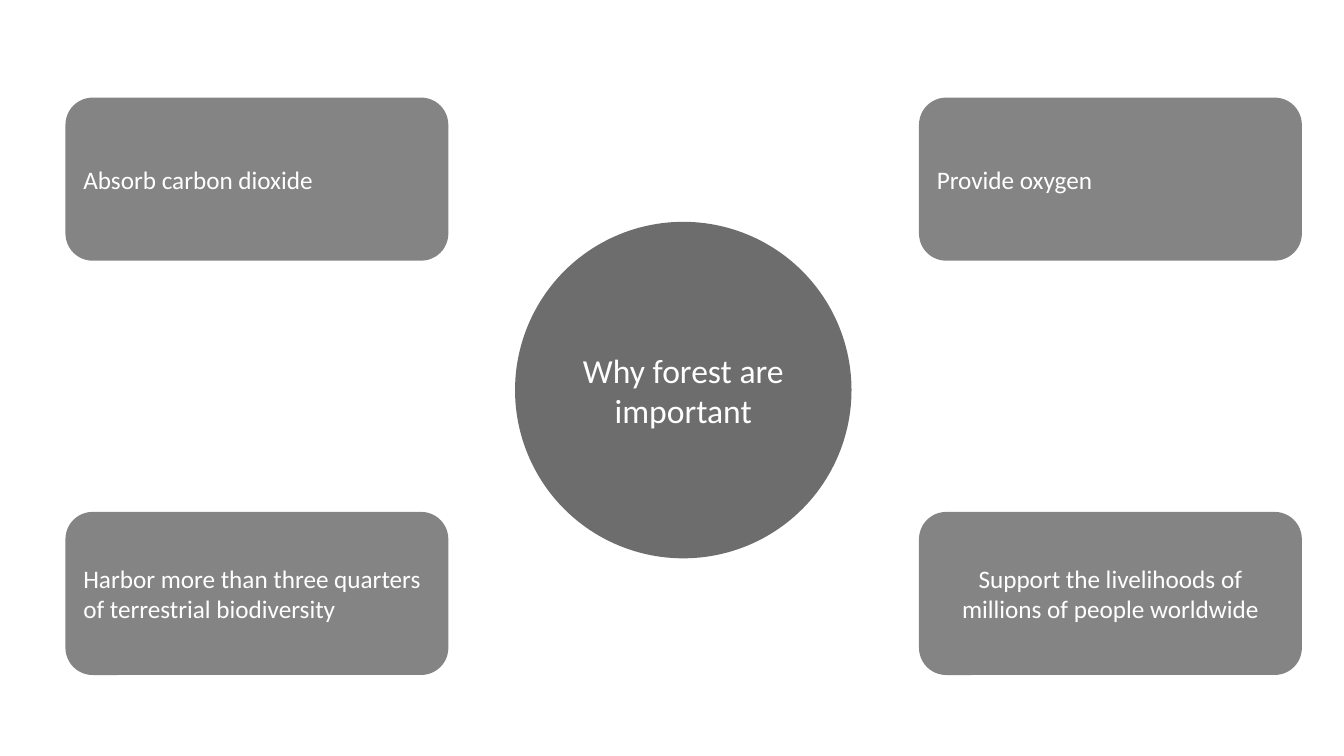
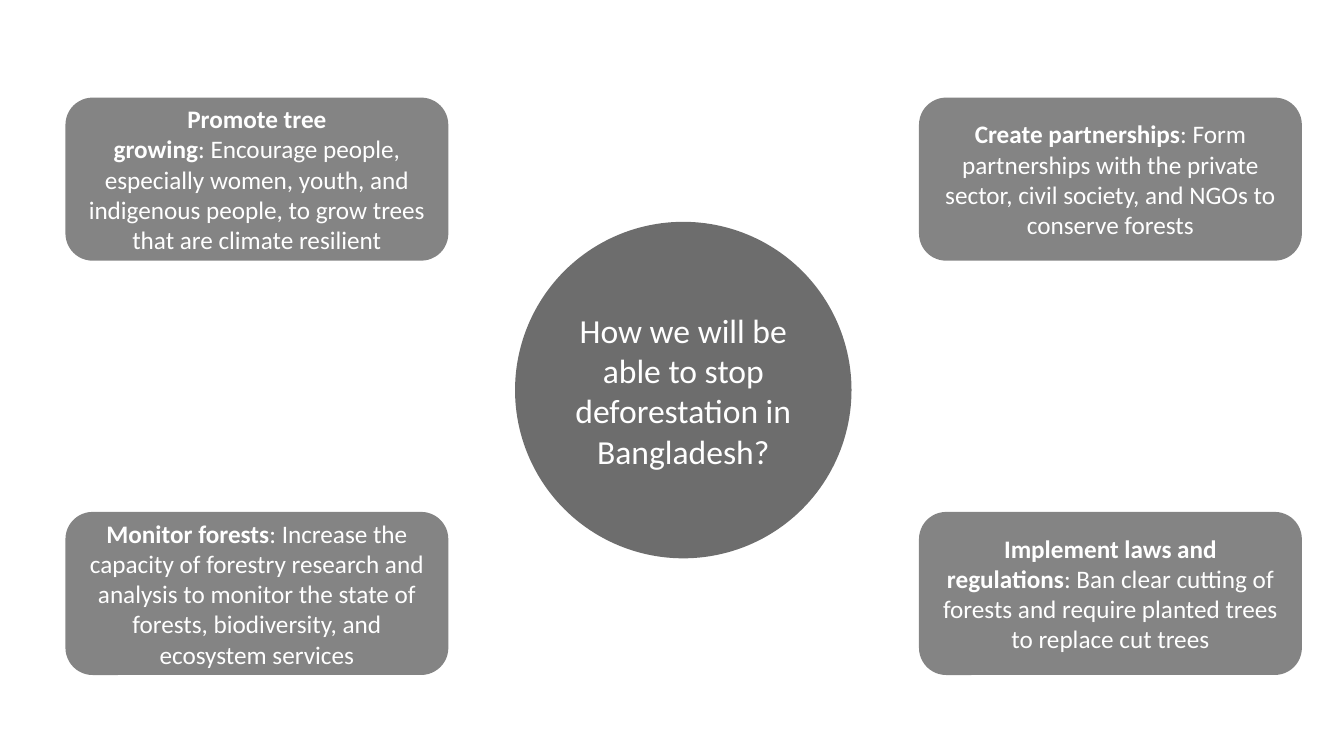
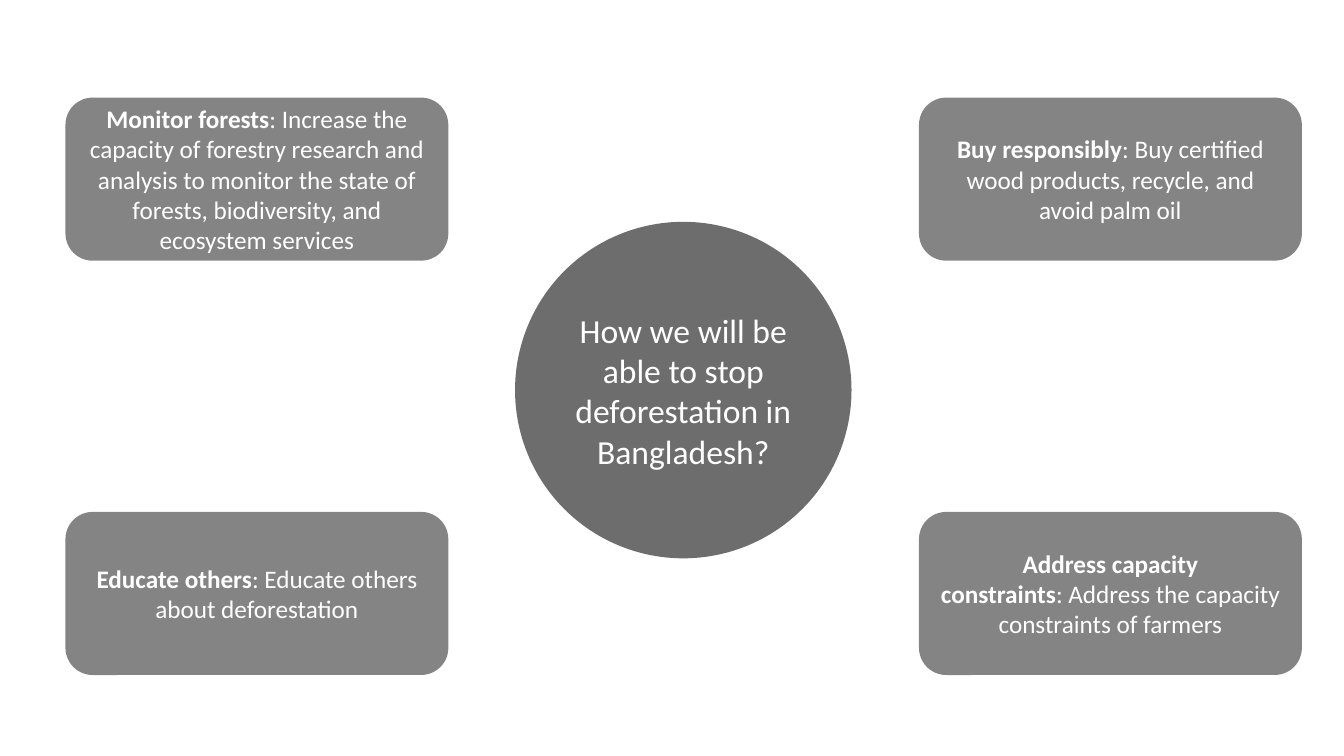
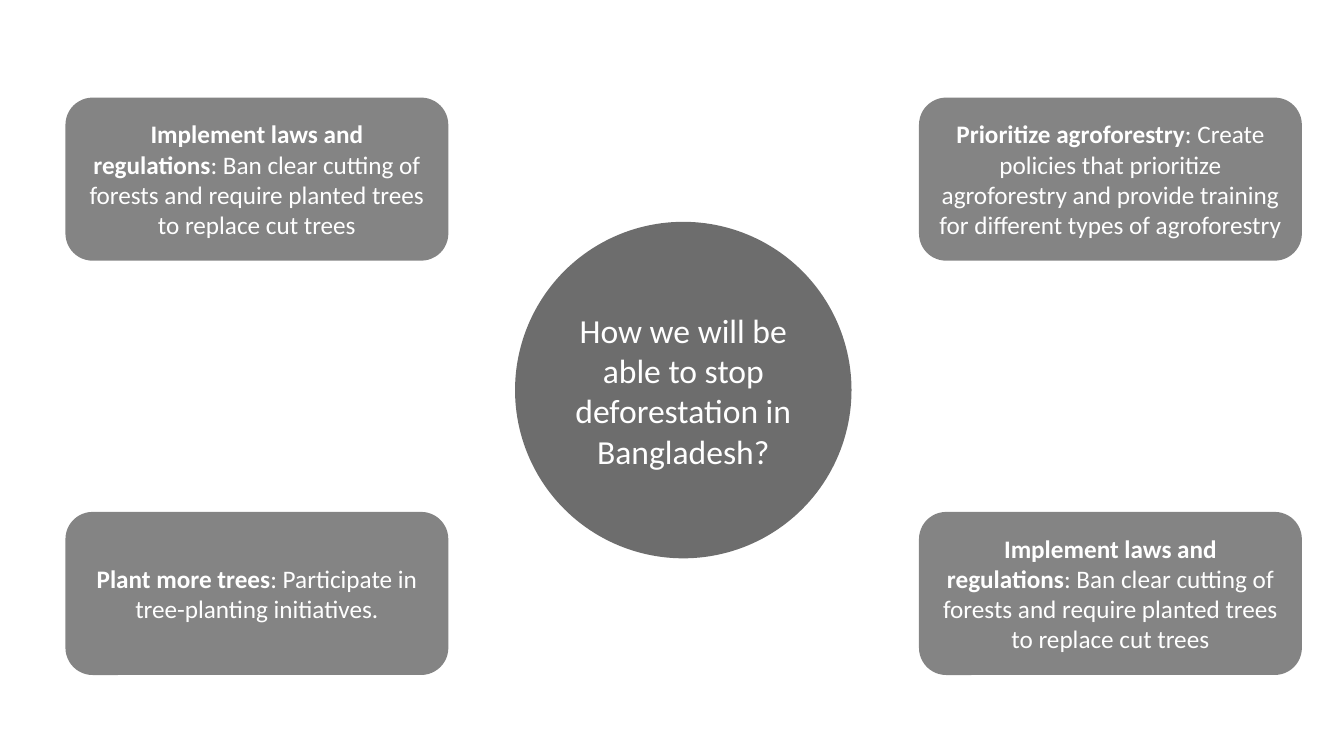
"""Four hub-and-corner slides on why forests matter and how to protect them."""
import math

from lxml import etree
from pptx import Presentation
from pptx import util as u
from pptx.dml.color import RGBColor
from pptx.enum import shapes, text
from pptx.oxml import ns

COLORS = {"fill": "404040", "text": "FFFFFF"}
FONT = "Calibri"
HUB_LEFT, HUB_TOP, HUB_SIZE = 12.98, 5.59, 8.48
CARD_WIDTH, CARD_HEIGHT = 9.65, 4.11
CARD_LEFTS, CARD_TOPS = (1.65, 23.16), (2.46, 12.9)
CORNERS = [(left, top) for top in CARD_TOPS for left in CARD_LEFTS]
NO_BREAK_SPACE = chr(160)

LEFT, CENTER = text.PP_ALIGN.LEFT, text.PP_ALIGN.CENTER
STOP = "How we will be able to stop deforestation in Bangladesh?"
LAWS = (
    "Implement laws and regulations",
    "Ban clear cutting of forests and require planted trees to replace cut trees",
)
MONITOR = (
    "Monitor forests",
    "Increase the capacity of forestry research and analysis to monitor "
    "the state of forests, biodiversity, and ecosystem services",
)
REASONS = [
    ("Absorb carbon dioxide", LEFT),
    ("Provide oxygen", LEFT),
    ("Harbor more than three quarters of terrestrial biodiversity", LEFT),
    ("Support the livelihoods of millions of people worldwide", CENTER),
]
ACTIONS = [
    [
        ("Promote tree growing",
         "Encourage people, especially women, youth, and indigenous people, "
         "to grow trees that are climate resilient"),
        ("Create partnerships",
         "Form partnerships with the private sector, civil society, and NGOs "
         "to conserve forests"),
        MONITOR,
        LAWS,
    ],
    [
        MONITOR,
        ("Buy responsibly", "Buy certified wood products, recycle, and avoid palm oil"),
        ("Educate others", "Educate others about deforestation"),
        ("Address capacity constraints", "Address the capacity constraints of farmers"),
    ],
    [
        LAWS,
        ("Prioritize agroforestry",
         "Create policies that prioritize agroforestry and provide training "
         "for different types of agroforestry"),
        ("Plant more trees", "Participate in tree-planting initiatives."),
        LAWS,
    ],
]


def add_panel(page, kind, left, top, width, height, opacity):
    """Add a translucent shape without an outline."""
    box = page.shapes.add_shape(kind, u.Cm(left), u.Cm(top), u.Cm(width), u.Cm(height))
    box.shadow.inherit = False
    box.line.fill.background()
    box.fill.solid()
    box.fill.fore_color.rgb = RGBColor.from_string(COLORS["fill"])
    color = box.element.spPr.find(".//" + ns.qn("a:srgbClr"))
    etree.SubElement(color, ns.qn("a:alpha"), val=str(opacity * 1000))
    return box


def write(box, size, align, spans):
    """Write one paragraph of (wording, bold) spans, centred vertically."""
    frame = box.text_frame
    frame.word_wrap = True
    frame.auto_size = text.MSO_AUTO_SIZE.NONE
    frame.vertical_anchor = text.MSO_ANCHOR.MIDDLE
    para = frame.paragraphs[0]
    para.alignment = align
    for wording, bold in spans:
        span = para.add_run()
        span.text = wording
        span.font.name = FONT
        span.font.size = u.Pt(size)
        span.font.bold = bold
        span.font.color.rgb = RGBColor.from_string(COLORS["text"])


def add_hub(page, wording):
    """Add the circle and fit the slide title into its inner square."""
    circle = add_panel(page, shapes.MSO_SHAPE.FLOWCHART_CONNECTOR,
                       HUB_LEFT, HUB_TOP, HUB_SIZE, HUB_SIZE, 76)
    title = page.shapes.title
    side = HUB_SIZE / math.sqrt(2)
    margin = (HUB_SIZE - side) / 2
    title.left, title.top = u.Cm(HUB_LEFT + margin), u.Cm(HUB_TOP + margin)
    title.width = title.height = u.Cm(side)
    write(title, 24, CENTER, [(wording, False)])
    circle.element.addnext(title.element)


def add_card(page, corner, align, spans):
    """Add one rounded card at a corner of the slide."""
    card = add_panel(page, shapes.MSO_SHAPE.ROUNDED_RECTANGLE,
                     *corner, CARD_WIDTH, CARD_HEIGHT, 64)
    write(card, 18, align, spans)


def add_page(deck, hub, cards):
    """Add a slide with a hub and four (align, spans) cards."""
    page = deck.slides.add_slide(deck.slide_layouts.get_by_name("Title Only"))
    add_hub(page, hub)
    for corner, (align, spans) in zip(CORNERS, cards):
        add_card(page, corner, align, spans)


def main():
    """Build and save the deck."""
    deck = Presentation()
    deck.slide_width, deck.slide_height = u.Cm(33.87), u.Cm(19.05)
    add_page(deck, "Why forest are important",
             [(align, [(reason, False)]) for reason, align in REASONS])
    for actions in ACTIONS:
        add_page(deck, STOP, [
            (CENTER, [(name, True), (":" + NO_BREAK_SPACE + detail, False)])
            for name, detail in actions
        ])
    deck.save("out.pptx")


if __name__ == "__main__":
    main()
